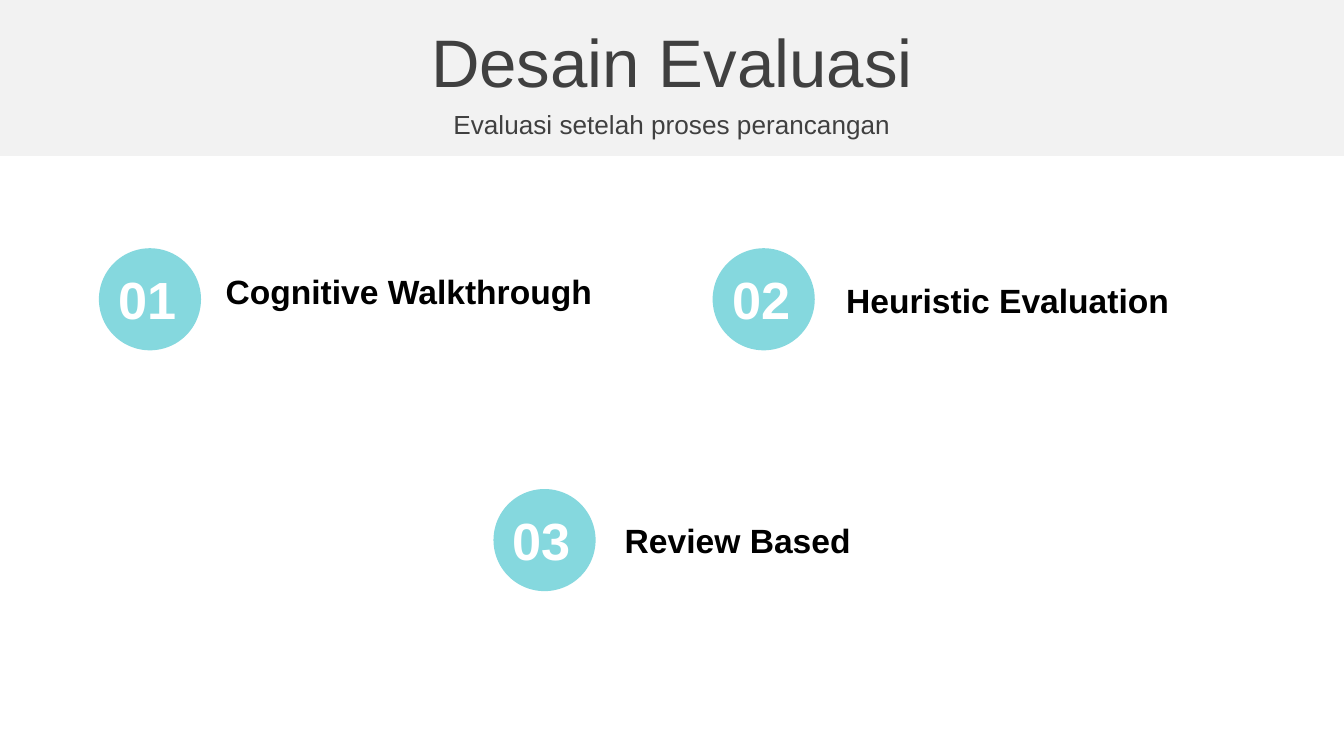
from pptx import Presentation
from pptx.dml.color import RGBColor
from pptx.enum.shapes import MSO_SHAPE
from pptx.enum.text import MSO_ANCHOR, PP_ALIGN
from pptx.util import Pt

RECTANGLE, OVAL = MSO_SHAPE.RECTANGLE, MSO_SHAPE.OVAL
LEFT, CENTER = PP_ALIGN.LEFT, PP_ALIGN.CENTER
MIDDLE = MSO_ANCHOR.MIDDLE

LIGHT_GRAY = RGBColor(0xF2, 0xF2, 0xF2)
DARK_GRAY = RGBColor(0x40, 0x40, 0x40)
TEAL = RGBColor(0x85, 0xD8, 0xDE)
WHITE = RGBColor(0xFF, 0xFF, 0xFF)
BLACK = RGBColor(0, 0, 0)

WIDTH, HEIGHT = 720, 405
CIRCLE = 54.7


class Page:
    font = "Arial"

    def __init__(self, slide):
        self.slide = slide

    def shape(self, kind, left, top, width, height, color):
        shape = self.slide.shapes.add_shape(
            kind, Pt(left), Pt(top), Pt(width), Pt(height))
        shape.shadow.inherit = False
        shape.fill.solid()
        shape.fill.fore_color.rgb = color
        shape.line.fill.background()

    def text(self, words, left, top, width, height, size, color,
             bold=False, align=LEFT, before=0, inset=3.6):
        box = self.slide.shapes.add_textbox(
            Pt(left), Pt(top), Pt(width), Pt(height))
        frame = box.text_frame
        frame.word_wrap = True
        frame.vertical_anchor = MIDDLE
        frame.margin_top = frame.margin_bottom = Pt(inset)
        para = frame.paragraphs[0]
        para.text = words
        para.alignment = align
        para.space_before = Pt(before)
        para.font.name = self.font
        para.font.size = Pt(size)
        para.font.bold = bold
        para.font.color.rgb = color

    def heading(self, words, top, height, size):
        self.text(words, 0, top, WIDTH, height, size, DARK_GRAY,
                  align=CENTER, before=size / 5)

    def item(self, number, label, left, top, label_left, label_top):
        self.shape(OVAL, left, top, CIRCLE, CIRCLE, TEAL)
        self.text(f"{number:02}", left + 3.3, top + 10.2, 47.5, 33.9, 28,
                  WHITE, bold=True, inset=0)
        self.text(label, label_left, label_top, 231, 29, 18, BLACK, bold=True)


def main():
    deck = Presentation()
    deck.slide_width, deck.slide_height = Pt(WIDTH), Pt(HEIGHT)
    page = Page(deck.slides.add_slide(deck.slide_layouts[6]))

    # Header band
    page.shape(RECTANGLE, 0, 0, WIDTH, 83.5, LIGHT_GRAY)
    page.heading("Desain Evaluasi", 10, 45.4, 36)
    page.heading("Evaluasi setelah proses perancangan", 55.4, 22.4, 14)

    # Numbered evaluation methods: circle position, then label position
    methods = [
        ("Cognitive Walkthrough", 53, 133, 113.8, 141.5),
        ("Heuristic Evaluation", 381.8, 133, 446.2, 146),
        ("Review Based", 264.4, 262, 327.6, 275),
    ]
    for number, method in enumerate(methods, 1):
        page.item(number, *method)

    deck.save("out.pptx")


if __name__ == "__main__":
    main()
